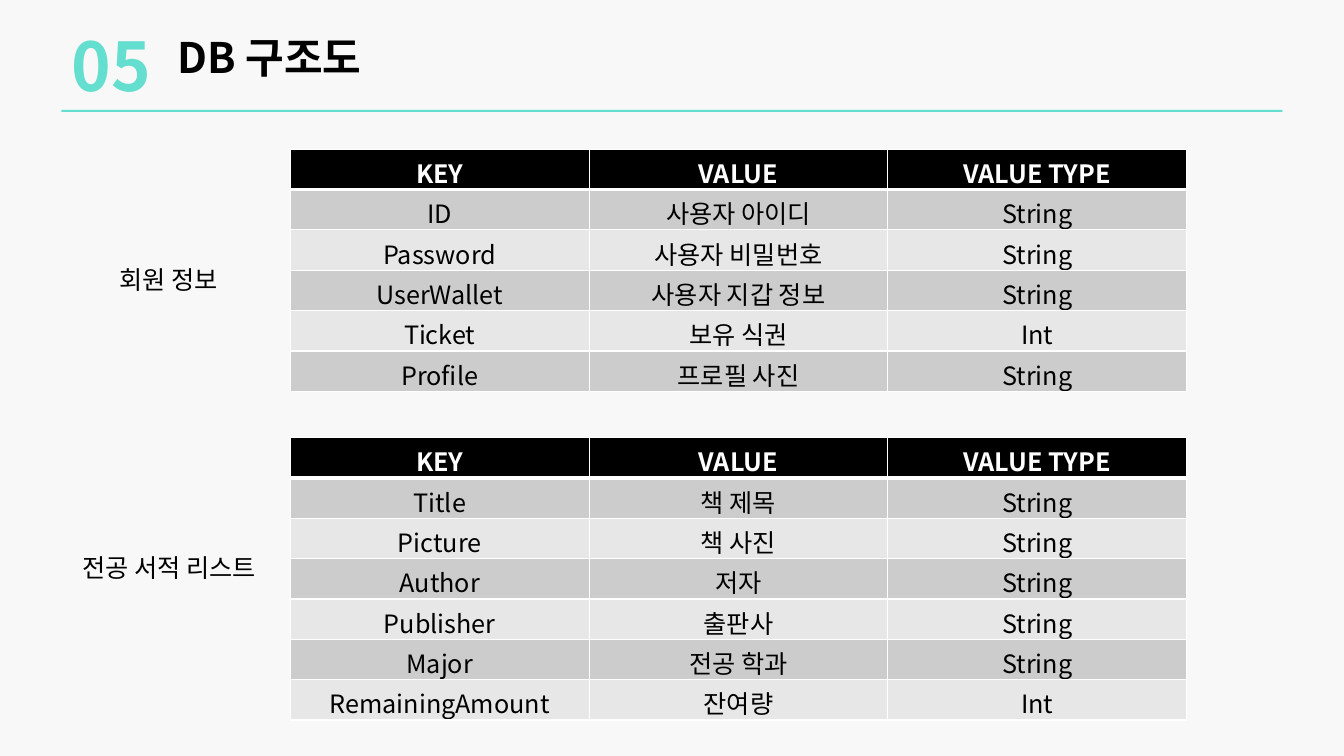
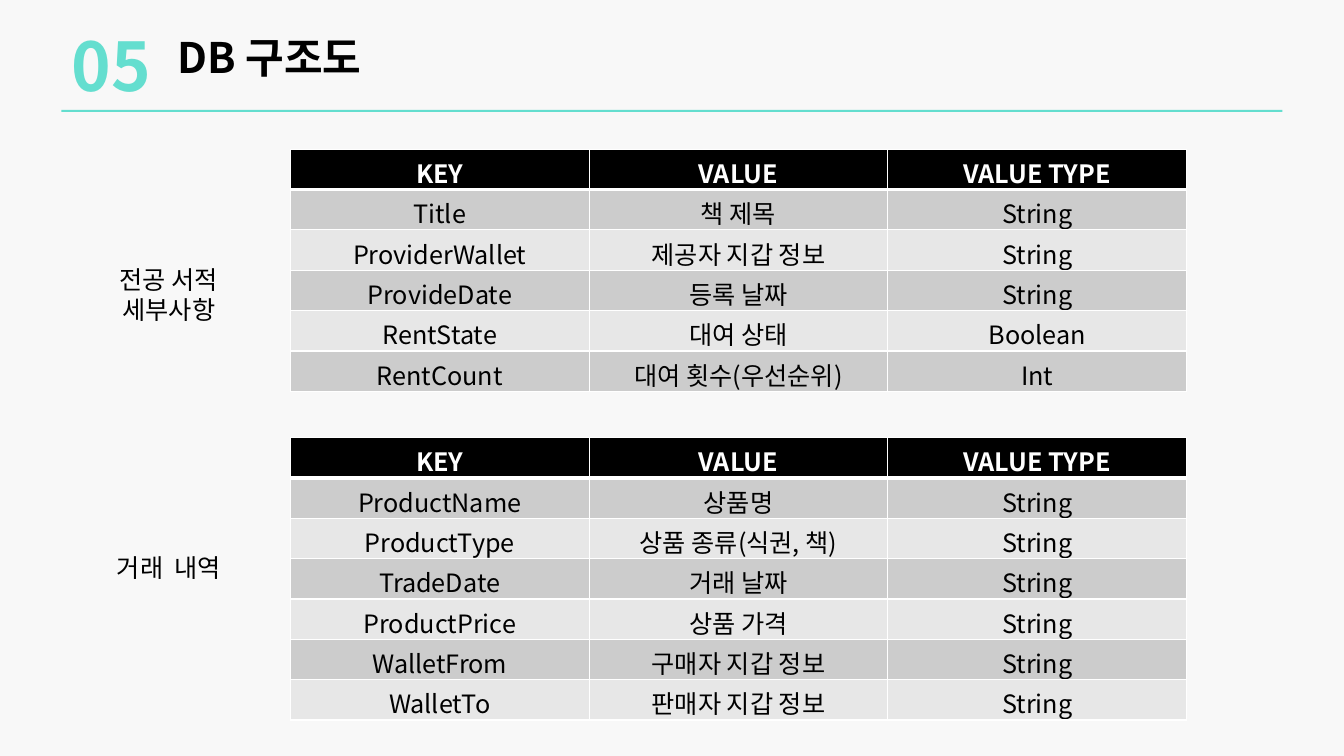
import pptx
import pptx.util
import pptx.oxml
import pptx.oxml.ns
import pptx.dml.color
import pptx.enum.text
import pptx.enum.shapes

Inches, Pt = pptx.util.Inches, pptx.util.Pt
ALIGN = pptx.enum.text.PP_ALIGN
ANCHOR = pptx.enum.text.MSO_ANCHOR
FIT = pptx.enum.text.MSO_AUTO_SIZE

FONT = "Noto Sans CJK KR"
HEX = {"back": "F8F8F8", "mint": "64DECF", "ink": "000000",
       "white": "FFFFFF", "odd": "CCCCCC", "even": "E7E7E7"}
STYLE = {
    "number": {"size": Pt(48), "bold": True, "color": "mint"},
    "title": {"size": Pt(30), "bold": True, "color": "ink"},
    "label": {"size": Pt(18), "bold": False, "color": "ink"},
    "head": {"size": Pt(18), "bold": True, "color": "white"},
}
LEFT = 0.61
ROW = 0.4
HEAD = ("KEY", "VALUE", "VALUE TYPE")

SLIDES = [
    [
        ("회원 정보", [
            ("ID", "사용자 아이디", "String"),
            ("Password", "사용자 비밀번호", "String"),
            ("UserWallet", "사용자 지갑 정보", "String"),
            ("Ticket", "보유 식권", "Int"),
            ("Profile", "프로필 사진", "String"),
        ]),
        ("전공 서적 리스트", [
            ("Title", "책 제목", "String"),
            ("Picture", "책 사진", "String"),
            ("Author", "저자", "String"),
            ("Publisher", "출판사", "String"),
            ("Major", "전공 학과", "String"),
            ("RemainingAmount", "잔여량", "Int"),
        ]),
    ],
    [
        ("전공 서적 세부사항", [
            ("Title", "책 제목", "String"),
            ("ProviderWallet", "제공자 지갑 정보", "String"),
            ("ProvideDate", "등록 날짜", "String"),
            ("RentState", "대여 상태", "Boolean"),
            ("RentCount", "대여 횟수(우선순위)", "Int"),
        ]),
        ("거래  내역", [
            ("ProductName", "상품명", "String"),
            ("ProductType", "상품 종류(식권, 책)", "String"),
            ("TradeDate", "거래 날짜", "String"),
            ("ProductPrice", "상품 가격", "String"),
            ("WalletFrom", "구매자 지갑 정보", "String"),
            ("WalletTo", "판매자 지갑 정보", "String"),
        ]),
    ],
]


def paint(fill, name):
    fill.solid()
    fill.fore_color.rgb = pptx.dml.color.RGBColor.from_string(HEX[name])


def write(frame, text, style, align=ALIGN.LEFT):
    para = frame.paragraphs[0]
    para.alignment = align
    run = para.add_run()
    run.text = text
    look = dict(STYLE[style], name=FONT)
    paint(run.font.fill, look.pop("color"))
    for key, value in look.items():
        setattr(run.font, key, value)
    # East Asian glyphs take their face from a separate element
    face = pptx.oxml.ns.qn("a:ea")
    run.font._element.append(run.font._element.makeelement(face, {"typeface": FONT}))


def place(shape, box):
    for key, value in zip(("left", "top", "width", "height"), box):
        setattr(shape, key, Inches(value))


def label(slide, box, text, style, align=ALIGN.LEFT):
    shape = slide.shapes.add_textbox(*map(Inches, box))
    shape.text_frame.word_wrap = True
    write(shape.text_frame, text, style, align)


def header(slide, box, number, title):
    """Place the number, the title and the rule below them."""
    left, top, width, height = box
    rule = slide.shapes.add_shape(
        pptx.enum.shapes.MSO_SHAPE.RECTANGLE,
        *map(Inches, (left, top + height - 0.01, width, 0.02)))
    rule.shadow.inherit = False
    paint(rule.fill, "mint")
    rule.line.fill.background()
    label(slide, (left, top, 1.05, height), number, "number")

    shape = slide.shapes.title
    place(shape, (left + 1.05, top + 0.07, 2.13, 0.61))
    form = {"word_wrap": False, "auto_size": FIT.NONE,
            "vertical_anchor": ANCHOR.TOP}
    for key, value in form.items():
        setattr(shape.text_frame, key, value)
    write(shape.text_frame, title, "title")


def edge(cell, widths):
    """Draw white borders, with widths in points by side."""
    props = cell._tc.get_or_add_tcPr()
    for spot, (side, width) in enumerate(widths.items()):
        props.insert(spot, pptx.oxml.parse_xml(
            f'<a:ln{side} {pptx.oxml.ns.nsdecls("a")} w="{Pt(width)}"><a:solidFill>'
            f'<a:srgbClr val="{HEX["white"]}"/></a:solidFill></a:ln{side}>'))


def grid(slide, box, rows):
    shape = slide.shapes.add_table(len(rows), len(HEAD), *map(Inches, box))
    for r, row in enumerate(rows):
        shape.table.rows[r].height = Inches(ROW)
        tone = "ink" if r == 0 else "odd" if r % 2 else "even"
        for c, text in enumerate(row):
            cell = shape.table.cell(r, c)
            cell.vertical_anchor = ANCHOR.MIDDLE
            paint(cell.fill, tone)
            edge(cell, {"L": 1, "R": 1, "T": 3 if r == 1 else 1,
                        "B": 3 if r == 0 else 1})
            write(cell.text_frame, text, "label" if r else "head", ALIGN.CENTER)


def block(slide, box, name, rows):
    """Place one table with its name on the left."""
    left, top, width, height = box
    label(slide, (left, top + 1.09, 2.13, 0.4), name, "label", ALIGN.CENTER)
    grid(slide, (left + 2.27, top, width - 2.27, height), [HEAD, *rows])


def main():
    deck = pptx.Presentation()
    deck.slide_width, deck.slide_height = Inches(13.33), Inches(7.5)
    paint(deck.slide_master.background.fill, "back")
    for blocks in SLIDES:
        slide = deck.slides.add_slide(deck.slide_layouts.get_by_name("Title Only"))
        header(slide, (LEFT, 0.19, 12.11, 0.91), "05", "DB 구조도")
        for top, (name, rows) in zip((1.48, 4.34), blocks):
            block(slide, (LEFT, top, 11.16, ROW * (len(rows) + 1)), name, rows)
    deck.save("out.pptx")


if __name__ == "__main__":
    main()
